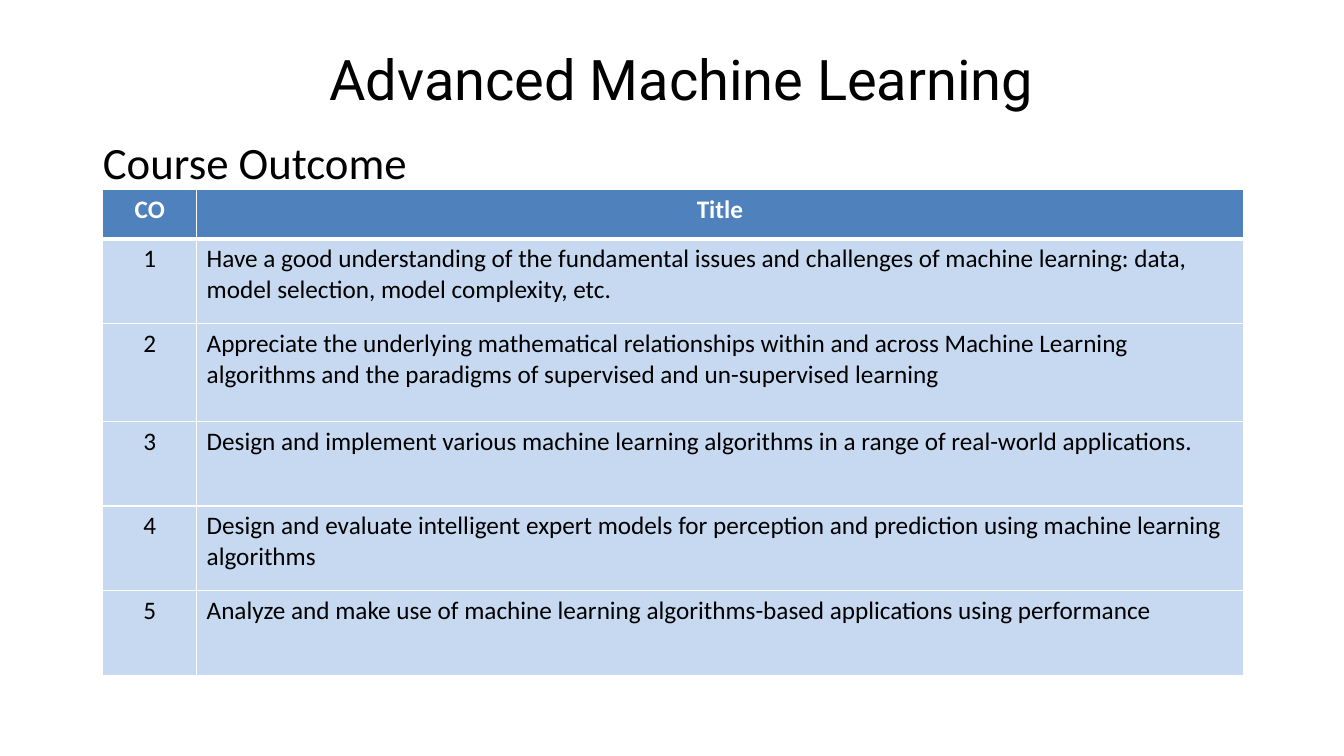
import pptx
import pptx.util
import pptx.dml.color
import pptx.enum.text
import pptx.oxml
import pptx.oxml.ns
from pptx.util import Inches

BLACK = pptx.dml.color.RGBColor(0x00, 0x00, 0x00)
WHITE = pptx.dml.color.RGBColor(0xFF, 0xFF, 0xFF)
HEADER_BLUE = pptx.dml.color.RGBColor(0x4F, 0x81, 0xBD)
ROW_BLUE = pptx.dml.color.RGBColor(0xC6, 0xD9, 0xF1)
CENTER = pptx.enum.text.PP_ALIGN.CENTER
LEFT = pptx.enum.text.PP_ALIGN.LEFT

OUTCOMES = [
    "Have a good understanding of the fundamental issues and challenges of machine learning: data, model selection, model complexity, etc.",
    "Appreciate the underlying mathematical relationships within and across Machine Learning algorithms and the paradigms of supervised and un-supervised learning",
    "Design and implement various machine learning algorithms in a range of real-world applications.",
    "Design and evaluate intelligent expert models for perception and prediction using machine learning algorithms",
    "Analyze and make use of machine learning algorithms-based applications using performance",
]


class CourseSlide:
    body_font = "Calibri"
    title_font = "Roboto"
    cell_size = 18
    thin, thick = 1, 3

    def __init__(self, deck):
        self.slide = deck.slides.add_slide(deck.slide_layouts[6])

    def set_text(self, frame, text, size, font, color=BLACK, bold=False, align=LEFT):
        paragraph = frame.paragraphs[0]
        paragraph.text = text
        paragraph.alignment = align
        paragraph.font.size = pptx.util.Pt(size)
        paragraph.font.name = font
        paragraph.font.bold = bold
        paragraph.font.color.rgb = color

    def heading(self, text, left, top, width, height, size, font, inset=(0.1, 0.05)):
        frame = self.slide.shapes.add_textbox(
            Inches(left), Inches(top), Inches(width), Inches(height)).text_frame
        frame.word_wrap = True
        frame.margin_left = frame.margin_right = Inches(inset[0])
        frame.margin_top = frame.margin_bottom = Inches(inset[1])
        self.set_text(frame, text, size, font)

    def borders(self, cell, top, bottom):
        properties = cell._tc.get_or_add_tcPr()
        sides = {"lnL": self.thin, "lnR": self.thin, "lnT": top, "lnB": bottom}
        for position, (side, points) in enumerate(sides.items()):
            properties.insert(position, pptx.oxml.parse_xml(
                f'<a:{side} {pptx.oxml.ns.nsdecls("a")} w="{pptx.util.Pt(points)}">'
                f'<a:solidFill><a:srgbClr val="{WHITE}"/></a:solidFill></a:{side}>'))

    def table(self, rows, left, top, widths, heights):
        grid = self.slide.shapes.add_table(
            len(rows), len(widths), Inches(left), Inches(top),
            Inches(sum(widths)), Inches(sum(heights))).table
        for column, width in zip(grid.columns, widths):
            column.width = Inches(width)
        for index, (texts, height) in enumerate(zip(rows, heights)):
            grid.rows[index].height = Inches(height)
            header = index == 0
            for column, text in enumerate(texts):
                cell = grid.cell(index, column)
                cell.fill.solid()
                cell.fill.fore_color.rgb = HEADER_BLUE if header else ROW_BLUE
                self.set_text(cell.text_frame, text, self.cell_size, self.body_font,
                              WHITE if header else BLACK, header,
                              CENTER if header or column == 0 else LEFT)
                self.borders(cell, self.thick if index == 1 else self.thin,
                             self.thick if header else self.thin)


def main():
    deck = pptx.Presentation()
    deck.slide_width = Inches(13.33)
    deck.slide_height = Inches(7.5)
    course = CourseSlide(deck)
    course.heading("Course Outcome", 1.02, 1.34, 4.08, 0.54, 32, course.body_font, (0, 0))
    course.heading("Advanced Machine Learning", 3.17, 0.39, 7.33, 0.77, 40, course.title_font)
    rows = [("CO", "Title")]
    rows += [(str(number), outcome) for number, outcome in enumerate(OUTCOMES, 1)]
    course.table(rows, 1.02, 1.88, [0.93, 10.38], [0.49, 0.84, 0.97, 0.84, 0.84, 0.84])
    deck.save("out.pptx")


if __name__ == "__main__":
    main()
